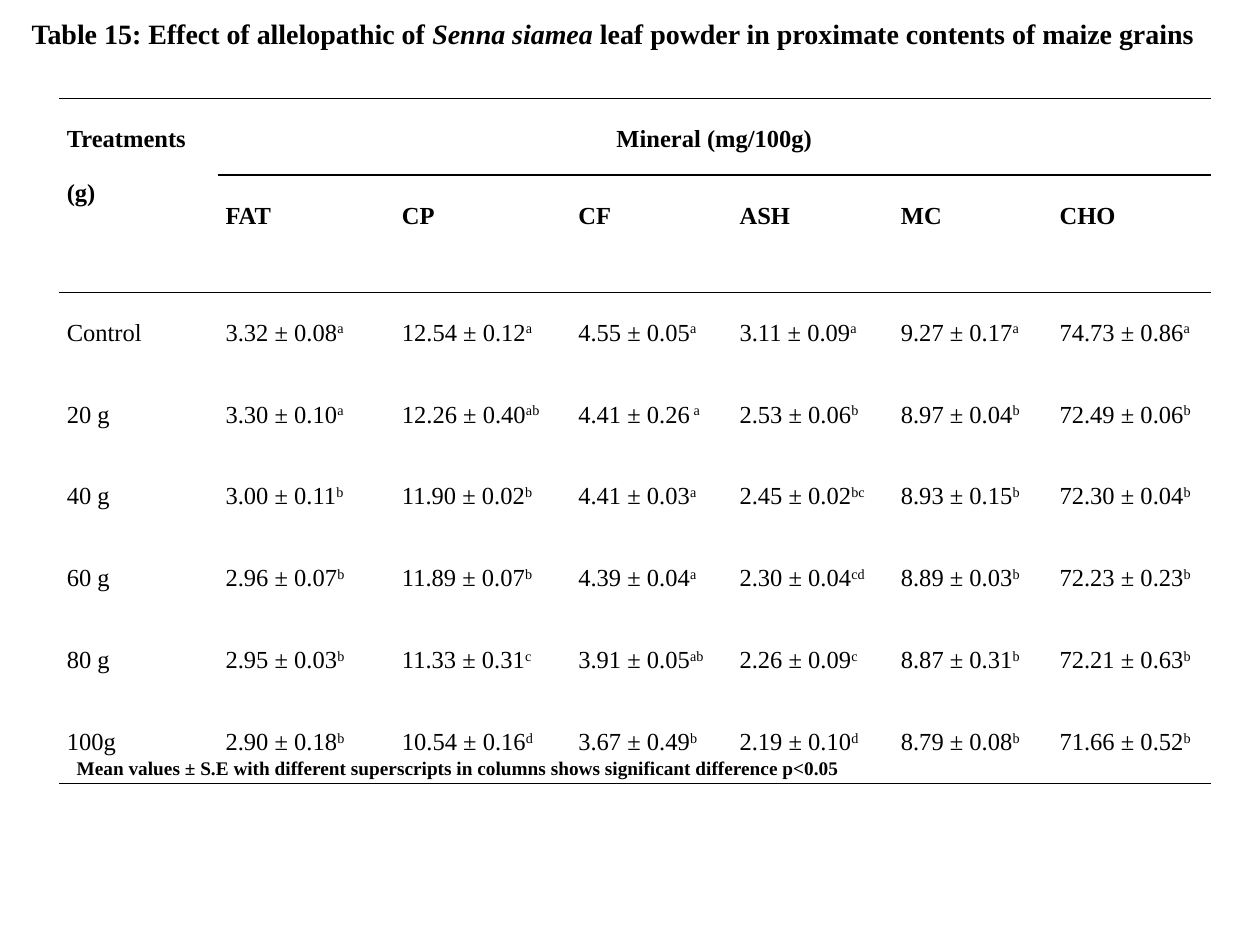
from lxml import etree
from pptx import Presentation
from pptx.dml.color import RGBColor
from pptx.enum import text as t
from pptx.oxml import ns
from pptx.util import Inches, Pt

FONT, INK = "Times New Roman", "000000"
TITLE = [
    ("Table 15: Effect of allelopathic of ", {}),
    ("Senna siamea ", {"italic": True}),
    ("leaf powder in proximate contents of maize grains", {}),
]
NOTE = ("Mean values ± S.E with different superscripts in columns "
        "shows significant difference p<0.05")
# A caret splits each mean from its superscript letters.
ROWS = [
    ["Treatments (g)", "Mineral (mg/100g)", "", "", "", "", ""],
    ["", "FAT", "CP", "CF", "ASH", "MC", "CHO"],
    ["Control", "3.32 ± 0.08^a", "12.54 ± 0.12^a", "4.55 ± 0.05^a",
     "3.11 ± 0.09^a", "9.27 ± 0.17^a", "74.73 ± 0.86^a"],
    ["20 g", "3.30 ± 0.10^a", "12.26 ± 0.40^ab", "4.41 ± 0.26^ a",
     "2.53 ± 0.06^b", "8.97 ± 0.04^b", "72.49 ± 0.06^b"],
    ["40 g", "3.00 ± 0.11^b", "11.90 ± 0.02^b", "4.41 ± 0.03^a",
     "2.45 ± 0.02^bc", "8.93 ± 0.15^b", "72.30 ± 0.04^b"],
    ["60 g", "2.96 ± 0.07^b", "11.89 ± 0.07^b", "4.39 ± 0.04^a",
     "2.30 ± 0.04^cd", "8.89 ± 0.03^b", "72.23 ± 0.23^b"],
    ["80 g", "2.95 ± 0.03^b", "11.33 ± 0.31^c", "3.91 ± 0.05^ab",
     "2.26 ± 0.09^c", "8.87 ± 0.31^b", "72.21 ± 0.63^b"],
    ["100g", "2.90 ± 0.18^b", "10.54 ± 0.16^d", "3.67 ± 0.49^b",
     "2.19 ± 0.10^d", "8.79 ± 0.08^b", "71.66 ± 0.52^b"],
]
WIDTHS = [1.26, 1.4, 1.4, 1.28, 1.28, 1.26, 1.26]
HEAD = 2
# The second header row is tall enough for the two-line merged label.
HEIGHTS = [0.61, 0.93] + [0.65] * (len(ROWS) - HEAD)


def color(code):
    return RGBColor.from_string(code)


def write(para, words, size=14, bold=False, italic=False, base=0):
    run = para.add_run()
    run.text = words
    font = run.font
    font.name, font.size, font.bold, font.italic = FONT, Pt(size), bold, italic
    font.color.rgb = color(INK)
    if base:
        font._element.set("baseline", str(base * 1000))


def rule(cell, sides):
    """Draw 1 pt lines on the named sides (T, B) and clear the others."""
    props = cell._tc.get_or_add_tcPr()
    for spot, side in enumerate("LRTB"):
        line = etree.Element(ns.qn("a:ln" + side), w=str(Pt(1)))
        if side in sides:
            fill = etree.SubElement(line, ns.qn("a:solidFill"))
            etree.SubElement(fill, ns.qn("a:srgbClr"), val=INK)
        else:
            etree.SubElement(line, ns.qn("a:noFill"))
        props.insert(spot, line)


def edges(row, col):
    if row < HEAD:
        if col:
            return "TB"
        return "TB" if row == 0 else "B"
    return ("T" if row == HEAD else "") + ("B" if row == len(ROWS) - 1 else "")


def fill_cell(cell, row, col, entry):
    cell.fill.background()
    rule(cell, edges(row, col))
    cell.margin_left = cell.margin_right = Inches(0.06)
    cell.margin_top = cell.margin_bottom = 0
    if not entry:
        return
    para = cell.text_frame.paragraphs[0]
    wide = (row, col) == (0, 1)
    para.alignment = t.PP_ALIGN.CENTER if wide else t.PP_ALIGN.JUSTIFY
    para.line_spacing = 2.0
    mean, _, mark = entry.partition("^")
    write(para, mean, bold=row < HEAD)
    if mark:
        write(para, mark, base=30)


deck = Presentation()
deck.slide_width, deck.slide_height = Inches(10), Inches(7.5)
slide = deck.slides.add_slide(deck.slide_layouts[5])

title = slide.shapes.title
title.left, title.top = Inches(-0.35), Inches(-0.01)
title.width, title.height = Inches(10.06), Inches(0.81)
frame = title.text_frame
frame.word_wrap = True
frame.auto_size = t.MSO_AUTO_SIZE.NONE
frame.vertical_anchor = t.MSO_ANCHOR.TOP
frame.margin_top, frame.margin_bottom = Inches(0.14), 0
para = frame.paragraphs[0]
para.alignment = t.PP_ALIGN.LEFT
para._p.get_or_add_pPr().set("indent", str(Inches(0.5)))
for words, style in TITLE:
    write(para, words, size=16, bold=True, **style)

table = slide.shapes.add_table(
    len(ROWS), len(WIDTHS), Inches(0.47), Inches(0.78),
    Inches(sum(WIDTHS)), Inches(sum(HEIGHTS))).table
table.first_row = table.horz_banding = False
for column, width in zip(table.columns, WIDTHS):
    column.width = Inches(width)
for line, height in zip(table.rows, HEIGHTS):
    line.height = Inches(height)
for row, entries in enumerate(ROWS):
    for col, entry in enumerate(entries):
        fill_cell(table.cell(row, col), row, col, entry)
table.cell(0, 0).merge(table.cell(1, 0))
table.cell(0, 1).merge(table.cell(0, len(WIDTHS) - 1))

note = slide.shapes.add_textbox(
    Inches(0.51), Inches(5.95), Inches(8.58), Inches(0.29)).text_frame
note.word_wrap = True
write(note.paragraphs[0], NOTE, size=11, bold=True)

deck.save("out.pptx")
